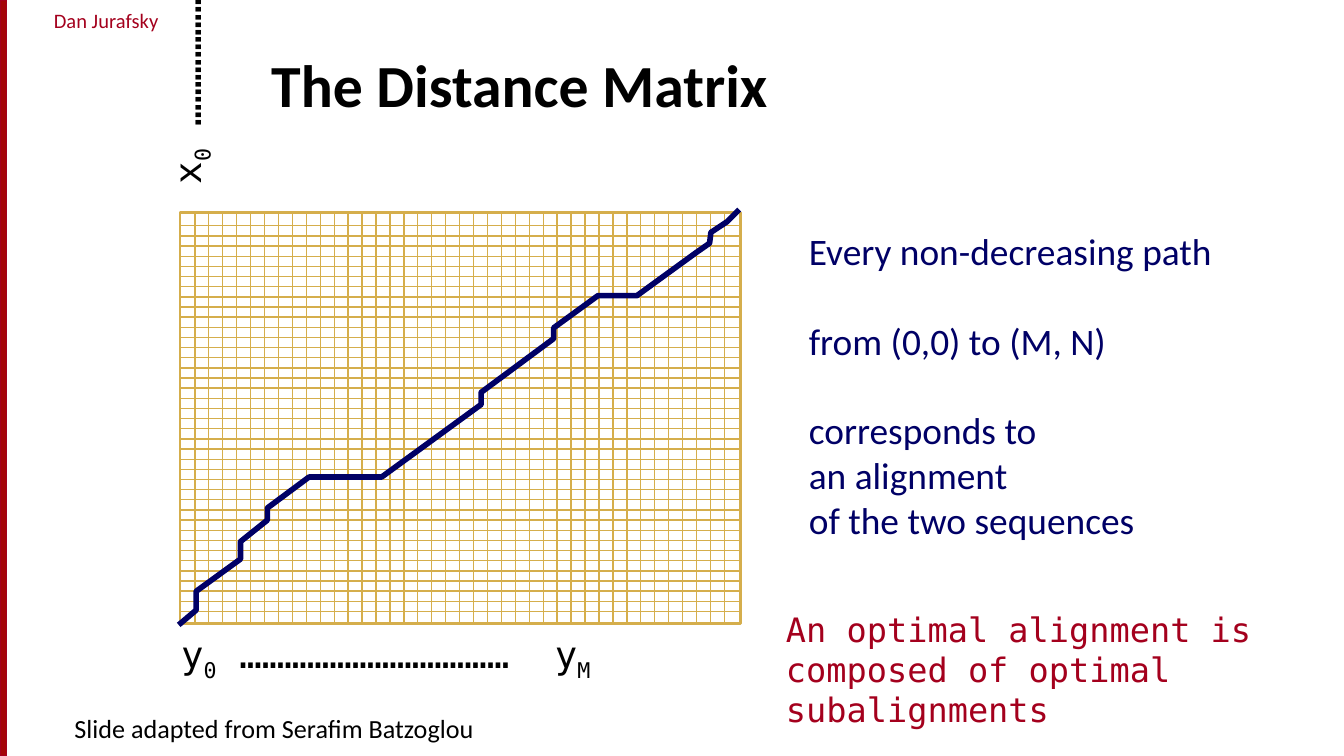
from dataclasses import dataclass

from lxml import etree
from pptx import Presentation
from pptx.dml.color import RGBColor
from pptx.enum.shapes import MSO_CONNECTOR, MSO_SHAPE
from pptx.enum.text import MSO_ANCHOR, PP_ALIGN
from pptx.oxml.ns import qn
from pptx.util import Inches, Pt

LEFT, CENTER = PP_ALIGN.LEFT, PP_ALIGN.CENTER
TOP, BOTTOM = MSO_ANCHOR.TOP, MSO_ANCHOR.BOTTOM
RECT, STRAIGHT = MSO_SHAPE.RECTANGLE, MSO_CONNECTOR.STRAIGHT
SANS, MONO = "Calibri", "DejaVu Sans Mono"
COLORS = {"black": "000000", "red": "A4001D", "bar": "A40508",
          "grid": "D5AE4C", "navy": "000066"}


@dataclass
class Run:
    text: str
    subscript: bool = False


@dataclass
class Para:
    runs: list[Run]
    space_before: float = 0


@dataclass
class Label:
    box: tuple[float, float, float, float]
    paras: list[Para]
    size: float
    color: str = "black"
    font: str = SANS
    bold: bool = False
    align: PP_ALIGN = LEFT
    anchor: MSO_ANCHOR = TOP
    side_inset: float = 0.1
    rotation: float = 0
    tab: float = 0


SLIDE_W = 10
SLIDE_H = SLIDE_W * 9 / 16
GRID_X, GRID_Y, GRID_W, GRID_H = 1.34, 1.58, 4.17, 3.06
GRID_LINES = 39
FIRST_COLUMN, LAST_COLUMN = 1.45, 5.39
FIRST_ROW, LAST_ROW = 1.68, 4.55

ALIGNMENT_PATH = [
    (5.5, 1.56), (5.41, 1.65), (5.29, 1.73), (5.28, 1.81), (5.18, 1.88),
    (4.74, 2.2), (4.45, 2.2), (4.12, 2.44), (4.12, 2.52), (3.58, 2.92),
    (3.58, 3.01), (2.84, 3.55), (2.3, 3.55), (1.99, 3.78), (1.99, 3.87),
    (1.79, 4.03), (1.79, 4.16), (1.46, 4.4), (1.46, 4.54), (1.33, 4.65),
]

LABELS = [
    Label((0.08, 0.01, 1.42, 0.29), [Para([Run("Dan Jurafsky")])], 11, "red",
          align=CENTER, side_inset=0),
    Label((1.92, 0, 8, 0.94), [Para([Run("The Distance Matrix")])], 32,
          bold=True, anchor=BOTTOM),
    Label((0.25, 5.25, 3.58, 0.38),
          [Para([Run("Slide adapted from Serafim Batzoglou")])], 14, align=CENTER),
    Label((1.25, 4.65, 4.34, 0.44),
          [Para([Run("y"), Run("0", True), Run(" " + "…" * 12 + "\ty"), Run("M", True)])],
          20, font=MONO, tab=2.78),
    Label((0.54, 0.4, 1.7, 0.44),
          [Para([Run("x"), Run("0", True), Run(" " + "…" * 6)])],
          20, font=MONO, rotation=270),
    Label((5.92, 1.65, 3.67, 2.86),
          [Para([Run("Every non-decreasing path")]),
           Para([Run("from (0,0) to (M, N)")], 24),
           Para([Run("corresponds to")], 24),
           Para([Run("an alignment")]),
           Para([Run("of the two sequences")])], 20, "navy"),
    Label((5.75, 4.48, 4.16, 0.71),
          [Para([Run("An optimal alignment is composed of optimal subalignments")])],
          18, "red", MONO),
]


def rgb(name: str) -> RGBColor:
    return RGBColor.from_string(COLORS[name])


def style_line(sp, color: str, width: float) -> None:
    sp.line.color.rgb = rgb(color)
    sp.line.width = Pt(width)


def add_rect(s, box: tuple, fill: str | None, line: str, width: float) -> None:
    sp = s.shapes.add_shape(RECT, *map(Inches, box))
    sp.shadow.inherit = False
    if fill:
        sp.fill.solid()
        sp.fill.fore_color.rgb = rgb(fill)
    else:
        sp.fill.background()
    style_line(sp, line, width)


def add_grid_line(s, x1: float, y1: float, x2: float, y2: float) -> None:
    sp = s.shapes.add_connector(STRAIGHT, *map(Inches, (x1, y1, x2, y2)))
    style_line(sp, "grid", 0.75)
    etree.SubElement(sp._element.spPr, qn("a:effectLst"))


def add_grid(s) -> None:
    add_rect(s, (GRID_X, GRID_Y, GRID_W, GRID_H), None, "grid", 1.5)
    for i in range(GRID_LINES):
        t = i / (GRID_LINES - 1)
        y = FIRST_ROW + t * (LAST_ROW - FIRST_ROW)
        x = FIRST_COLUMN + t * (LAST_COLUMN - FIRST_COLUMN)
        add_grid_line(s, GRID_X, y, GRID_X + GRID_W, y)
        add_grid_line(s, x, GRID_Y, x, GRID_Y + GRID_H)


def add_path(s) -> None:
    points = [(Inches(x), Inches(y)) for x, y in ALIGNMENT_PATH]
    builder = s.shapes.build_freeform(*points[0])
    builder.add_line_segments(points[1:], close=False)
    sp = builder.convert_to_shape()
    sp.shadow.inherit = False
    sp.fill.background()
    style_line(sp, "navy", 3)


def add_tab_stop(p, position: float) -> None:
    tabs = etree.SubElement(p._p.get_or_add_pPr(), qn("a:tabLst"))
    etree.SubElement(tabs, qn("a:tab"), pos=str(Inches(position)), algn="l")


def add_label(s, label: Label) -> None:
    sp = s.shapes.add_textbox(*map(Inches, label.box))
    sp.rotation = label.rotation
    tf = sp.text_frame
    tf.word_wrap = True
    tf.vertical_anchor = label.anchor
    tf.margin_left = tf.margin_right = Inches(label.side_inset)
    for i, para in enumerate(label.paras):
        p = tf.add_paragraph() if i else tf.paragraphs[0]
        p.alignment = label.align
        p.space_before = Pt(para.space_before)
        if label.tab:
            add_tab_stop(p, label.tab)
        for run in para.runs:
            r = p.add_run()
            r.text = run.text
            r.font.name = label.font
            r.font.size = Pt(label.size)
            r.font.bold = label.bold
            r.font.color.rgb = rgb(label.color)
            if run.subscript:
                r.font._element.set("baseline", "-25000")


def main() -> None:
    prs = Presentation()
    prs.slide_width, prs.slide_height = Inches(SLIDE_W), Inches(SLIDE_H)
    s = prs.slides.add_slide(prs.slide_layouts[6])
    add_rect(s, (0, 0, 0.05, SLIDE_H), "bar", "red", 0.75)
    add_grid(s)
    add_path(s)
    for label in LABELS:
        add_label(s, label)
    prs.save("out.pptx")


if __name__ == "__main__":
    main()
